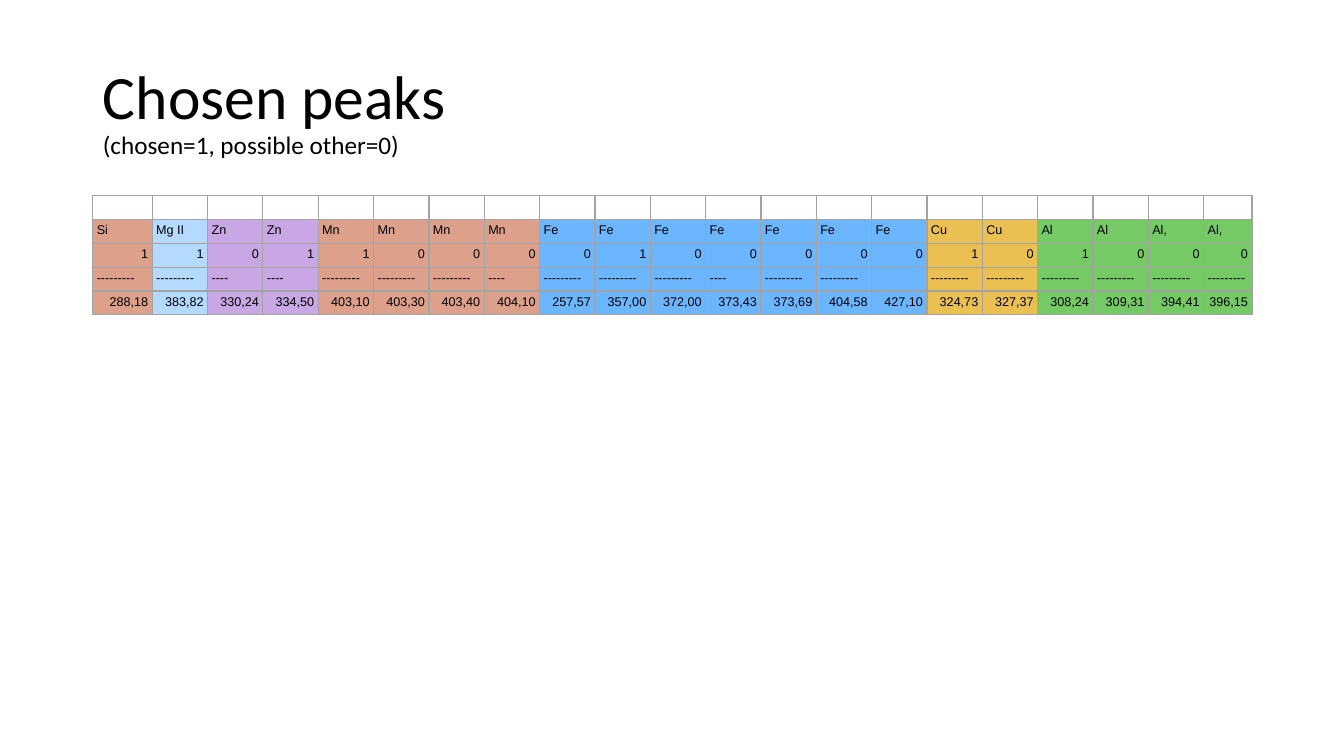
import pptx
import pptx.dml.color
import pptx.enum.text
import pptx.oxml
import pptx.oxml.ns
import pptx.util
from lxml import etree

SLIDE_WIDTH, SLIDE_HEIGHT = 13.33, 7.5
LEFT, CONTENT_WIDTH = 0.92, 11.5
TABLE_TOP, ROW_HEIGHT = 1.94, 0.237
FIRST_WIDTH, LAST_WIDTH = 0.59, 0.48
CELL_INSET = 0.04
GRID_COLOR = "A3A3A3"
LONG_DASH, SHORT_DASH = "-" * 9, "-" * 4

# Each element group: fill, then (symbol, chosen, dashes, wavelength) per peak
PEAK_GROUPS = [
    ("DDA08A", [("Si", "1", LONG_DASH, "288,18")]),
    ("B5DAFF", [("Mg II", "1", LONG_DASH, "383,82")]),
    ("C9A6E4", [("Zn", "0", SHORT_DASH, "330,24"),
                ("Zn", "1", SHORT_DASH, "334,50")]),
    ("DDA08A", [("Mn", "1", LONG_DASH, "403,10"),
                ("Mn", "0", LONG_DASH, "403,30"),
                ("Mn", "0", LONG_DASH, "403,40"),
                ("Mn", "0", SHORT_DASH, "404,10")]),
    ("6CB6FF", [("Fe", "0", LONG_DASH, "257,57"),
                ("Fe", "1", LONG_DASH, "357,00"),
                ("Fe", "0", LONG_DASH, "372,00"),
                ("Fe", "0", SHORT_DASH, "373,43"),
                ("Fe", "0", LONG_DASH, "373,69"),
                ("Fe", "0", LONG_DASH, "404,58"),
                ("Fe", "0", "", "427,10")]),
    ("EBC053", [("Cu", "1", LONG_DASH, "324,73"),
                ("Cu", "0", LONG_DASH, "327,37")]),
    ("75CA66", [("Al", "1", LONG_DASH, "308,24"),
                ("Al", "0", LONG_DASH, "309,31"),
                ("Al,", "0", LONG_DASH, "394,41"),
                ("Al,", "0", LONG_DASH, "396,15")]),
]


def rgb(hex_color):
    return pptx.dml.color.RGBColor.from_string(hex_color)


def write(paragraph, text, size=9, font="Arial", color="000000", align="LEFT"):
    """Append formatted text; an empty text only sets the line's size."""
    paragraph.alignment = getattr(pptx.enum.text.PP_ALIGN, align)
    if not text:
        end = etree.SubElement(paragraph._p, pptx.oxml.ns.qn("a:endParaRPr"))
        end.set("sz", str(size * 100))
        return
    run = paragraph.add_run()
    run.text = text
    run.font.size = pptx.util.Pt(size)
    run.font.name = font
    run.font.color.rgb = rgb(color)


def add_title(slide, heading, legend):
    title = slide.shapes.title
    title.left, title.top = pptx.util.Inches(LEFT), pptx.util.Inches(0.4)
    title.width, title.height = pptx.util.Inches(CONTENT_WIDTH), pptx.util.Inches(1.45)
    frame = title.text_frame
    frame.auto_size = pptx.enum.text.MSO_AUTO_SIZE.NONE
    frame.vertical_anchor = pptx.enum.text.MSO_ANCHOR.MIDDLE
    frame.word_wrap = True
    paragraph = frame.paragraphs[0]
    paragraph.line_spacing = 0.9
    write(paragraph, heading, size=44, font="Calibri")
    paragraph.add_line_break()
    write(paragraph, legend, size=18, font="Calibri")


def outline(cell, color):
    properties = cell._tc.get_or_add_tcPr()
    for side in ("lnL", "lnR", "lnT", "lnB"):
        properties.append(pptx.oxml.parse_xml(
            f'<a:{side} {pptx.oxml.ns.nsdecls("a")} w="12700"><a:solidFill>'
            f'<a:srgbClr val="{color}"/></a:solidFill></a:{side}>'))


def fill_cell(cell, text, fill, align):
    cell.margin_left = cell.margin_right = pptx.util.Inches(CELL_INSET)
    cell.margin_top = cell.margin_bottom = pptx.util.Inches(CELL_INSET)
    outline(cell, GRID_COLOR)
    if fill:
        cell.fill.solid()
        cell.fill.fore_color.rgb = rgb(fill)
    else:
        cell.fill.background()
    write(cell.text_frame.paragraphs[0], text, align=align)


def add_peak_table(slide, groups):
    peaks = [(fill, peak) for fill, members in groups for peak in members]
    aligns = ("LEFT", "LEFT", "RIGHT", "LEFT", "RIGHT")
    table = slide.shapes.add_table(
        len(aligns), len(peaks),
        pptx.util.Inches(LEFT), pptx.util.Inches(TABLE_TOP),
        pptx.util.Inches(CONTENT_WIDTH),
        pptx.util.Inches(ROW_HEIGHT * len(aligns))).table
    table.first_row = table.horz_banding = False

    inner_width = (CONTENT_WIDTH - FIRST_WIDTH - LAST_WIDTH) / (len(peaks) - 2)
    widths = [FIRST_WIDTH] + [inner_width] * (len(peaks) - 2) + [LAST_WIDTH]
    for column, width in zip(table.columns, widths):
        column.width = pptx.util.Inches(width)
    for row in table.rows:
        row.height = pptx.util.Inches(ROW_HEIGHT)

    for column, (fill, peak) in enumerate(peaks):
        for row, (text, align) in enumerate(zip(("", *peak), aligns)):
            fill_cell(table.cell(row, column), text, fill if row else None, align)


def main():
    deck = pptx.Presentation()
    deck.slide_width = pptx.util.Inches(SLIDE_WIDTH)
    deck.slide_height = pptx.util.Inches(SLIDE_HEIGHT)
    slide = deck.slides.add_slide(deck.slide_layouts.get_by_name("Title Only"))
    add_title(slide, "Chosen peaks", "(chosen=1, possible other=0)")
    add_peak_table(slide, PEAK_GROUPS)
    deck.save("out.pptx")


if __name__ == "__main__":
    main()
